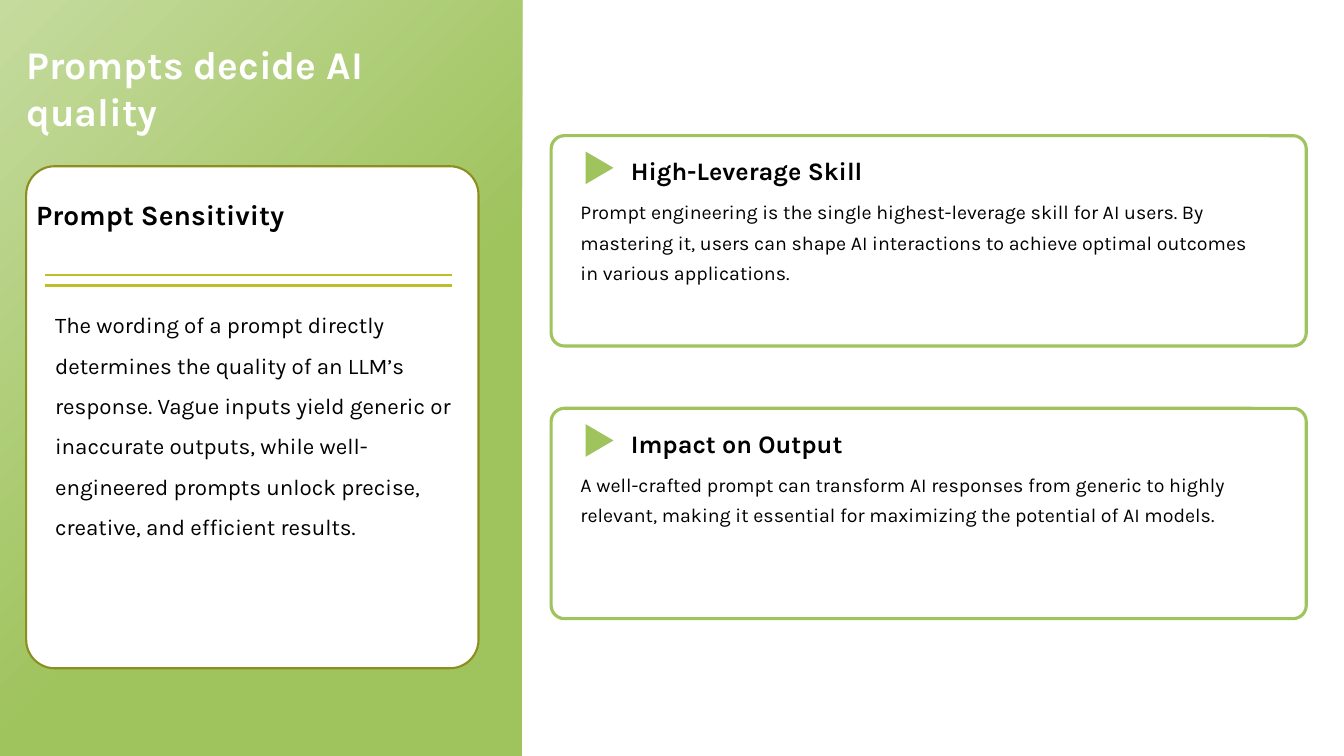
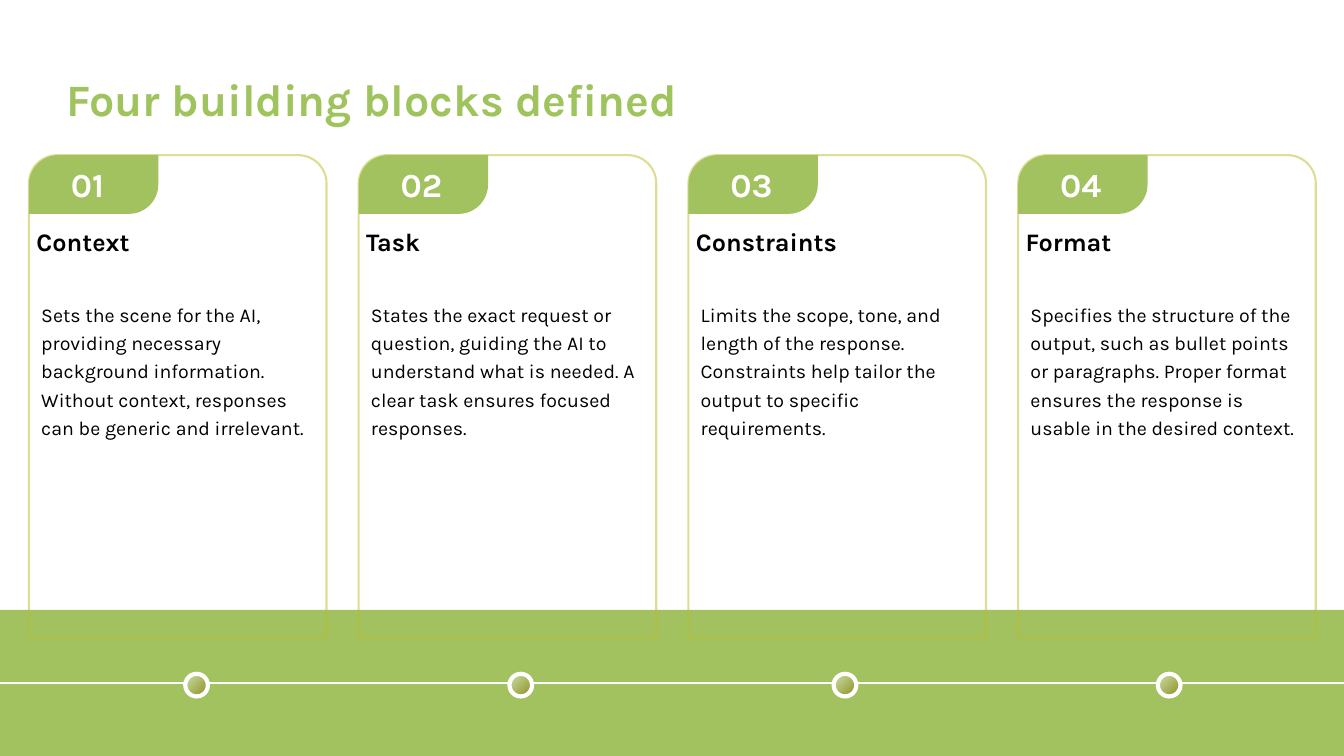
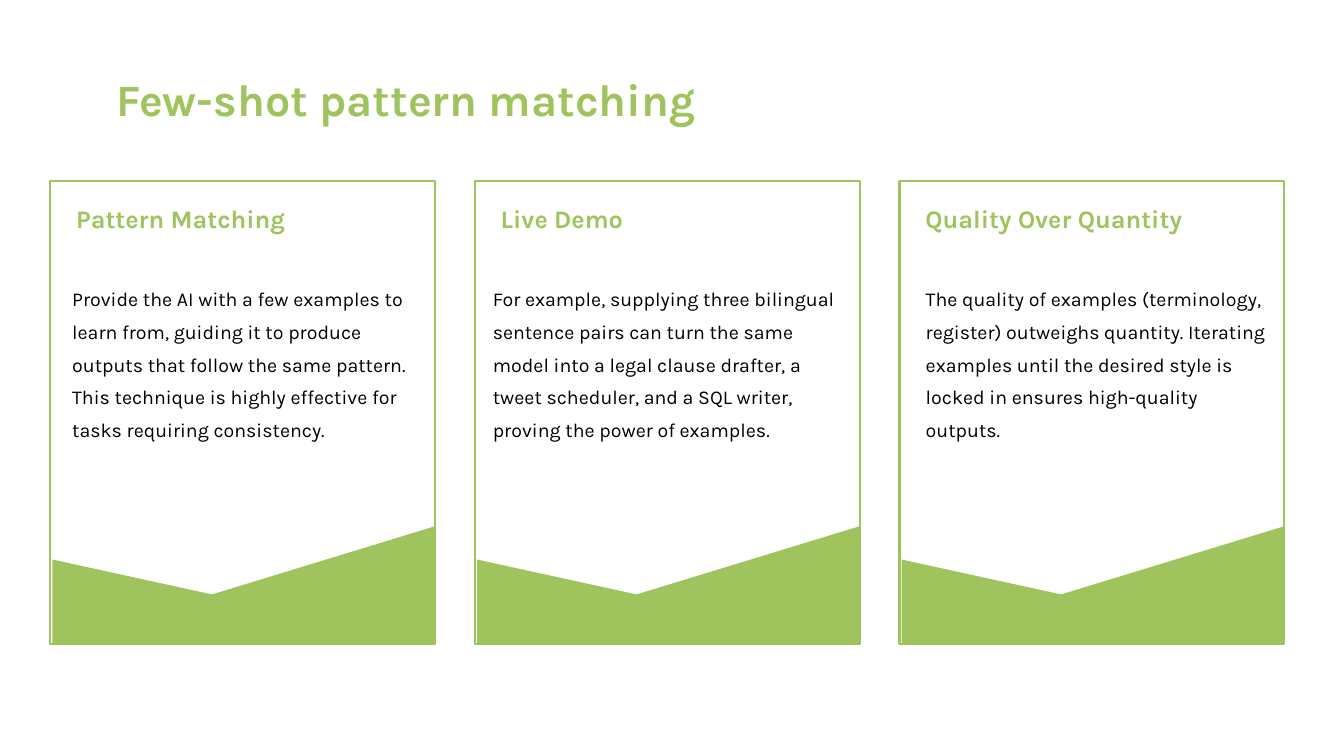
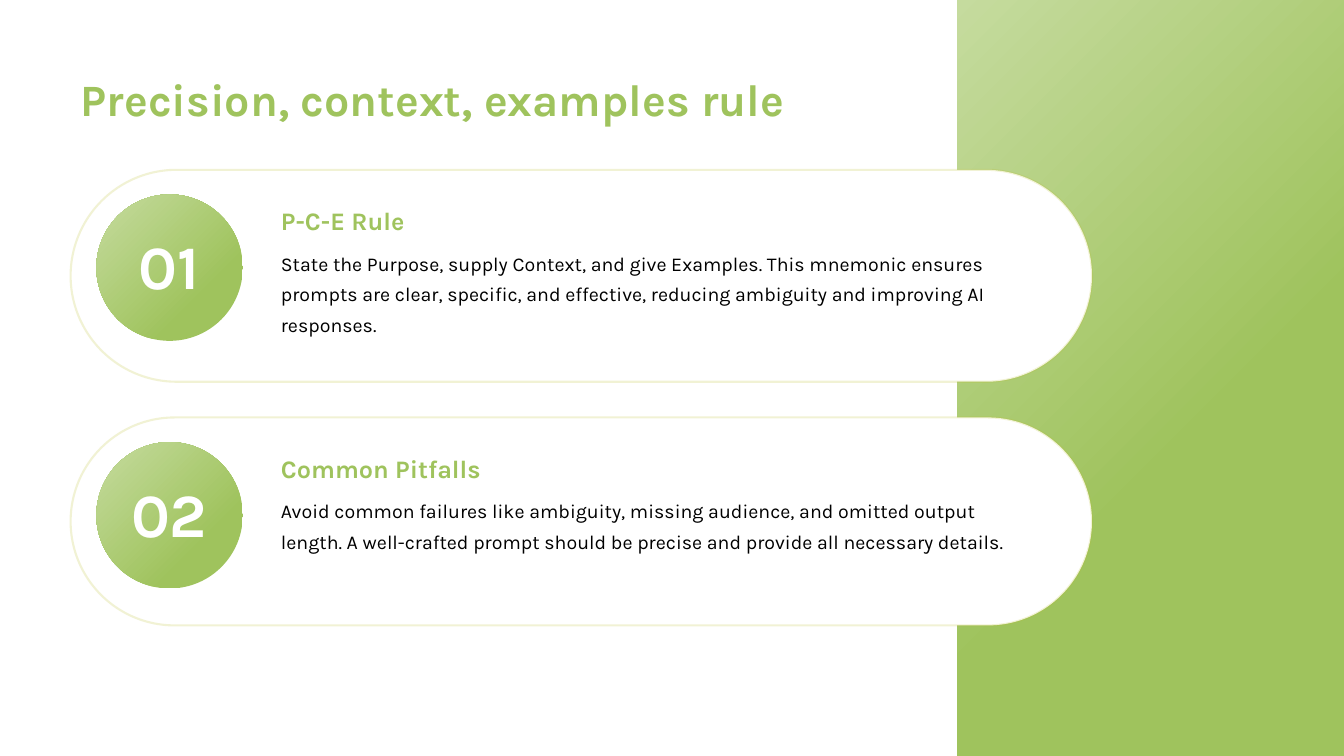
from lxml import etree
from pptx import Presentation
from pptx.dml.color import RGBColor
from pptx.enum import shapes, text
from pptx.oxml.ns import qn
from pptx.util import Cm, Pt

COLORS = {
    "green": "9FC35D",
    "band": "A1C25E",
    "pale": "C5DB9E",
    "olive": "8D8E20",
    "lime": "BCBE2B",
    "white": "FFFFFF",
    "black": "000000",
}
FONT = "Karla"
KIND = shapes.MSO_SHAPE
PANEL_FILL = ("green", "pale", 0.41, 1)
BADGE_FILL = ("green", "pale", 0.29, 1)
DOT_FILL = ("olive", "pale", 0, 0.91)


def draw(page, kind, place, fill=None, line=None, adjust=()):
    """Add a shape; fill is a colour or (start, end, first stop, last stop),
    line is (colour, points, opacity in percent)."""
    shape = page.shapes.add_shape(kind, *map(Cm, place))
    shape.shadow.inherit = False
    for index, value in enumerate(adjust):
        shape.adjustments[index] = value
    if fill is None:
        shape.fill.background()
    elif isinstance(fill, str):
        shape.fill.solid()
        shape.fill.fore_color.rgb = RGBColor.from_string(COLORS[fill])
    else:
        shape.fill.gradient()
        shape.fill.gradient_angle = 135
        for stop, color, position in zip(shape.fill.gradient_stops, fill[:2], fill[2:]):
            stop.color.rgb = RGBColor.from_string(COLORS[color])
            stop.position = position
    if line is None:
        shape.line.fill.background()
    else:
        color, width, opacity = line
        shape.line.color.rgb = RGBColor.from_string(COLORS[color])
        shape.line.width = Pt(width)
        if opacity < 100:
            tint = shape.line._ln.find(".//" + qn("a:srgbClr"))
            etree.SubElement(tint, qn("a:alpha"), val=str(opacity * 1000))
    return shape


def write(page, place, words, size, color="black", bold=False, spacing=1.0,
          align=text.PP_ALIGN.LEFT, box=None):
    """Put one paragraph in a new text box, or in the given placeholder."""
    if box is None:
        box = page.shapes.add_textbox(0, 0, 0, 0)
    box.left, box.top, box.width, box.height = map(Cm, place)
    frame = box.text_frame
    frame.word_wrap = True
    frame.auto_size = text.MSO_AUTO_SIZE.NONE
    frame.vertical_anchor = text.MSO_ANCHOR.TOP
    para = frame.paragraphs[0]
    para.alignment = align
    para.line_spacing = spacing
    span = para.add_run()
    span.text = words
    span.font.color.rgb = RGBColor.from_string(COLORS[color])
    for name, value in {"name": FONT, "size": Pt(size), "bold": bold}.items():
        setattr(span.font, name, value)


deck = Presentation()
deck.slide_width, deck.slide_height = Cm(33.87), Cm(19.05)

# Pages and their titles
pages = []
for words, place, size, color in [
    ("Prompts decide AI quality", (0.41, 0.89, 12.22, 2.7), 28, "white"),
    ("Four building blocks defined", (1.42, 1.68, 27.23, 1.7), 32, "green"),
    ("Few-shot pattern matching", (2.67, 1.68, 27.23, 1.7), 32, "green"),
    ("Precision, context, examples rule", (1.78, 1.68, 22.35, 1.7), 32, "green"),
]:
    page = deck.slides.add_slide(deck.slide_layouts[5])
    write(page, place, words, size, color, True, box=page.shapes.title)
    pages.append(page)
quality, blocks, patterns, rules = pages

# Gradient panels, behind the titles
for page, place in [(quality, (0, 0, 13.16, 19.05)), (rules, (24.12, 0, 9.75, 19.05))]:
    panel = draw(page, KIND.RECTANGLE, place, PANEL_FILL)
    page.shapes._spTree.insert(2, panel._element)

# Straight lines: two rules under a heading, one timeline
for page, left, right, top, color, width in [
    (quality, 1.14, 11.4, 7.19, "lime", 2.5),
    (quality, 1.14, 11.4, 6.93, "lime", 1),
    (blocks, 0, 33.87, 17.22, "white", 1.5),
]:
    rule = page.shapes.add_connector(
        shapes.MSO_CONNECTOR.STRAIGHT, Cm(left), Cm(top), Cm(right), Cm(top))
    rule.line.color.rgb = RGBColor.from_string(COLORS[color])
    rule.line.width = Pt(width)
    etree.SubElement(rule._element.spPr, qn("a:effectLst"))

# Slide 1: large card on the left, which lies under the two rules
card = draw(quality, KIND.ROUNDED_RECTANGLE, (0.66, 4.19, 11.4, 12.65), "white",
            ("olive", 1.5, 100), [0.063])
quality.shapes._spTree.insert(3, card._element)
write(quality, (0.66, 4.85, 11.4, 1.1), "Prompt Sensitivity", 20, bold=True)
write(quality, (1.14, 7.39, 10.92, 6.4),
      "The wording of a prompt directly determines the quality of an LLM’s response. "
      "Vague inputs yield generic or inaccurate outputs, while well-engineered prompts "
      "unlock precise, creative, and efficient results.", 16, spacing=1.5)

# Slide 1: two cards on the right
for index, (heading, words) in enumerate([
    ("High-Leverage Skill",
     "Prompt engineering is the single highest-leverage skill for AI users. By mastering "
     "it, users can shape AI interactions to achieve optimal outcomes in various "
     "applications."),
    ("Impact on Output",
     "A well-crafted prompt can transform AI responses from generic to highly relevant, "
     "making it essential for maximizing the potential of AI models."),
]):
    top = 3.42 + index * 6.87
    draw(quality, KIND.ROUNDED_RECTANGLE, (13.89, top, 19.03, 5.3), "white",
         ("green", 2.25, 100), [0.063])
    marker = draw(quality, KIND.ISOSCELES_TRIANGLE, (14.7, top + 0.46, 0.82, 0.7), "green")
    marker.rotation = 90
    write(quality, (15.65, top + 0.37, 16.48, 1), heading, 18, bold=True)
    write(quality, (14.38, top + 1.32, 17.78, 2.7), words, 14, spacing=1.3)

# Slide 2: band behind the timeline, four numbered cards
band = draw(blocks, KIND.RECTANGLE, (0, 15.37, 33.87, 3.68), "band")
blocks.shapes._spTree.insert(2, band._element)
for index, (heading, words) in enumerate([
    ("Context", "Sets the scene for the AI, providing necessary background information. "
     "Without context, responses can be generic and irrelevant."),
    ("Task", "States the exact request or question, guiding the AI to understand what is "
     "needed. A clear task ensures focused responses."),
    ("Constraints", "Limits the scope, tone, and length of the response. Constraints help "
     "tailor the output to specific requirements."),
    ("Format", "Specifies the structure of the output, such as bullet points or "
     "paragraphs. Proper format ensures the response is usable in the desired context."),
]):
    left = 0.73 + index * 8.31
    draw(blocks, KIND.ROUND_2_SAME_RECTANGLE, (left, 3.91, 7.5, 12.15),
         line=("lime", 1.5, 50), adjust=[0.095, 0])
    draw(blocks, KIND.ROUND_2_DIAG_RECTANGLE, (left, 3.91, 3.26, 1.48), "band",
         adjust=[0.5, 0])
    draw(blocks, KIND.OVAL, (4.67 + index * 8.17, 16.98, 0.57, 0.57), DOT_FILL,
         ("white", 3, 100))
    write(blocks, (left + 0.81, 4.01, 1.83, 1.27), f"{index + 1:02}", 24, "white", True)
    write(blocks, (left - 0.06, 5.57, 7.34, 1), heading, 18, bold=True)
    write(blocks, (left + 0.06, 7.39, 7.5, 4), words, 14, spacing=1.2)

# Slide 3: three cards, each with two triangles at its foot
for index, (heading, words, words_left, words_width) in enumerate([
    ("Pattern Matching",
     "Provide the AI with a few examples to learn from, guiding it to produce outputs "
     "that follow the same pattern. This technique is highly effective for tasks "
     "requiring consistency.", 1.57, 9.22),
    ("Live Demo",
     "For example, supplying three bilingual sentence pairs can turn the same model into "
     "a legal clause drafter, a tweet scheduler, and a SQL writer, proving the power of "
     "examples.", 12.17, 9.12),
    ("Quality Over Quantity",
     "The quality of examples (terminology, register) outweighs quantity. Iterating "
     "examples until the desired style is locked in ensures high-quality outputs.",
     23.08, 9.12),
]):
    left = 1.27 + index * 10.7
    draw(patterns, KIND.RECTANGLE, (left, 4.57, 9.7, 11.65), "white", ("green", 1.5, 100))
    draw(patterns, KIND.RIGHT_TRIANGLE, (left + 0.05, 14.1, 9.65, 2.11), "green")
    slope = draw(patterns, KIND.RIGHT_TRIANGLE, (left + 0.05, 13.26, 9.65, 2.95), "green")
    slope._element.spPr.find(qn("a:xfrm")).set("flipH", "1")
    write(patterns, (left + 0.4, 5, 8.71, 1), heading, 18, "green", True)
    write(patterns, (words_left, 6.86, words_width, 4.4), words, 14, spacing=1.4)

# Slide 4: two numbered pills
for index, (heading, words, height) in enumerate([
    ("P-C-E Rule",
     "State the Purpose, supply Context, and give Examples. This mnemonic ensures prompts "
     "are clear, specific, and effective, reducing ambiguity and improving AI responses.",
     5.34),
    ("Common Pitfalls",
     "Avoid common failures like ambiguity, missing audience, and omitted output length. "
     "A well-crafted prompt should be precise and provide all necessary details.", 5.24),
]):
    top = 4.28 + index * 6.24
    draw(rules, KIND.ROUNDED_RECTANGLE, (1.78, top, 25.74, height), "white",
         ("lime", 1.5, 20), [0.5])
    draw(rules, KIND.OVAL, (2.43, top + 0.62, 3.69, 3.69), BADGE_FILL)
    write(rules, (2.92, top + 1.35, 2.69, 2.15), f"{index + 1:02}", 44, "white", True,
          align=text.PP_ALIGN.CENTER)
    write(rules, (6.83, top + 0.77, 18.82, 1), heading, 18, "green", True)
    write(rules, (6.83, top + 1.76, 19.61, 3.12), words, 14, spacing=1.3)

deck.save("out.pptx")
